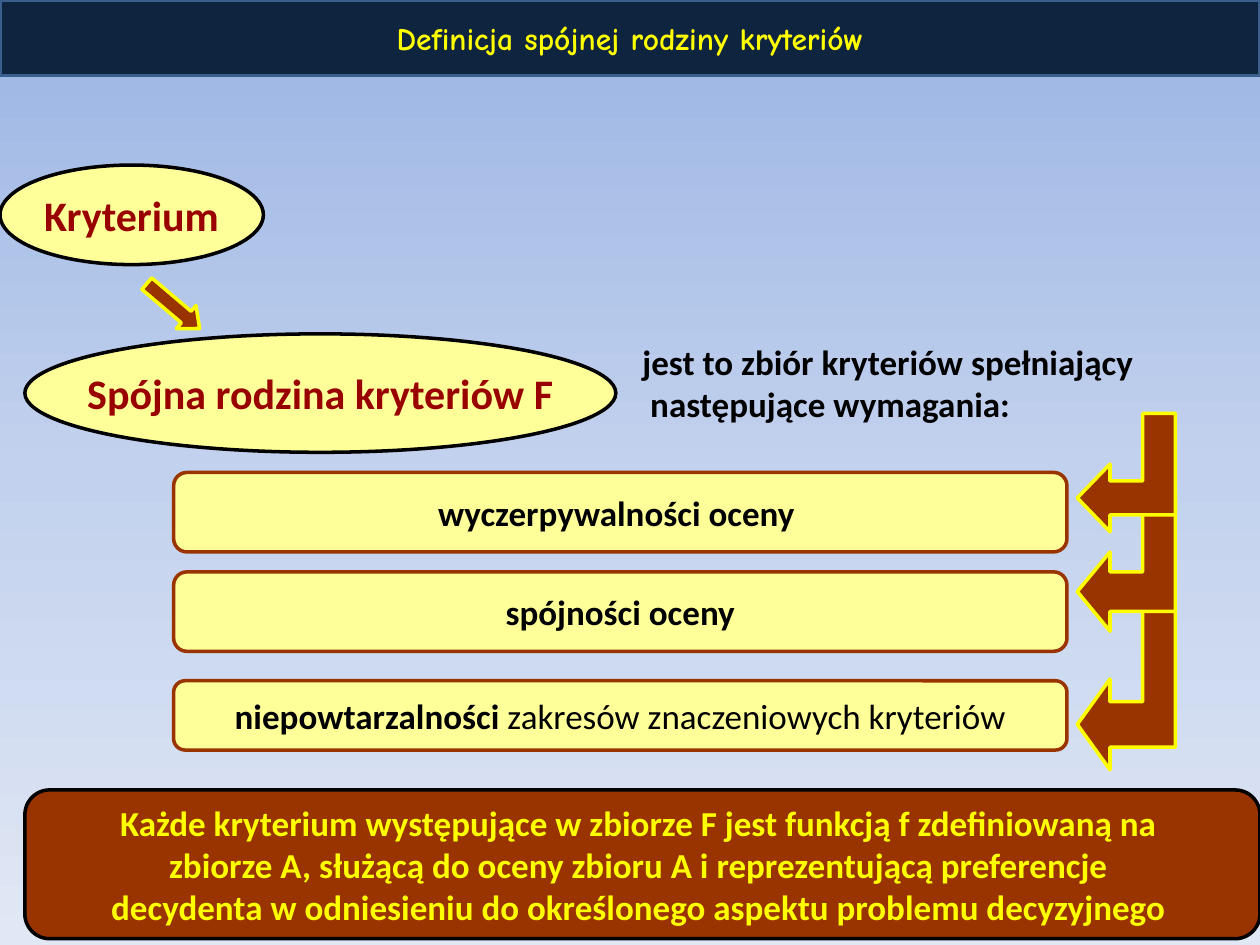
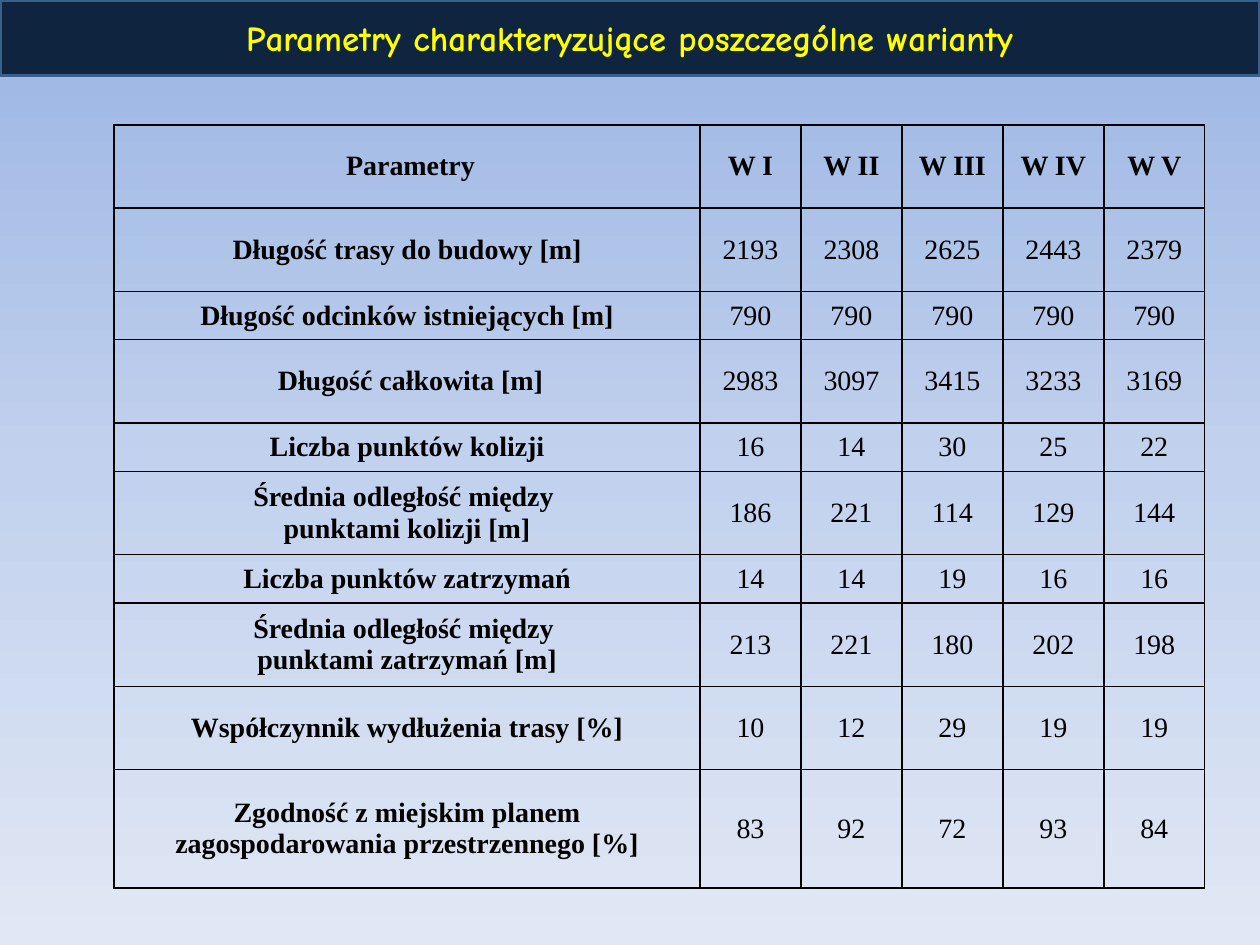
from copy import deepcopy

from lxml import etree
from pptx import Presentation
from pptx.dml.color import RGBColor
from pptx.enum.shapes import MSO_SHAPE
from pptx.enum.text import MSO_ANCHOR, PP_ALIGN
from pptx.oxml.ns import qn
from pptx.util import Pt

RECT, ROUNDED = MSO_SHAPE.RECTANGLE, MSO_SHAPE.ROUNDED_RECTANGLE
ELLIPSE, RIGHT_ARROW = MSO_SHAPE.OVAL, MSO_SHAPE.RIGHT_ARROW
MIDDLE, TOP = MSO_ANCHOR.MIDDLE, MSO_ANCHOR.TOP
CENTER, LEFT = PP_ALIGN.CENTER, PP_ALIGN.LEFT

BLACK, YELLOW, CREAM = "000000", "FFFF00", "FFFF99"
BROWN, DARK_RED = "993300", "990000"
NAVY, STEEL = "0F243E", "3A5F8C"
SKY = ("9AB5E4", "C2D1ED", "E1E8F5")
BODY, TITLE, TABLE = "Calibri", "Comic Neue", "Times New Roman"

TALL, SHORT, LAST = 47.7, 27.5, 67.5
ROW_HEIGHTS = [TALL, TALL, SHORT, TALL, SHORT, TALL, SHORT, TALL, TALL, LAST]
COLUMN_WIDTHS = [334.8] + [57.7] * 5
VARIANTS = [
    (" Parametry", "W I", "W II", "W III", "W IV", "W V"),
    ("Długość trasy do budowy [m]", 2193, 2308, 2625, 2443, 2379),
    ("Długość odcinków istniejących [m]", 790, 790, 790, 790, 790),
    (" Długość całkowita [m]", 2983, 3097, 3415, 3233, 3169),
    ("Liczba punktów kolizji", 16, 14, 30, 25, 22),
    ("Średnia odległość między \npunktami kolizji [m]", 186, 221, 114, 129, 144),
    ("Liczba punktów zatrzymań", 14, 14, 19, 16, 16),
    ("Średnia odległość między \npunktami zatrzymań [m]", 213, 221, 180, 202, 198),
    ("Współczynnik wydłużenia trasy [%]", 10, 12, 29, 19, 19),
    ("Zgodność z miejskim planem zagospodarowania przestrzennego [%]",
     83, 92, 72, 93, 84),
]


def rgb(hex_code):
    return RGBColor.from_string(hex_code)


def points(*lengths):
    return [Pt(length) for length in lengths]


class Deck:
    """Holds the shared style and the slide being filled."""

    def __init__(self):
        self.prs = Presentation()
        self.prs.slide_width, self.prs.slide_height = points(720, 540)
        self.slide = None
        self.paint_background()

    def paint_background(self):
        """Give the master a vertical gradient with three stops."""
        master = self.prs.slide_master
        fill = master.background.fill
        fill.gradient()
        fill.gradient_angle = 270
        stops = master.element.find(".//" + qn("a:gsLst"))
        stops.insert(1, deepcopy(stops[0]))
        for stop, color, position in zip(fill.gradient_stops, SKY, (0, 0.5, 1)):
            stop.color.rgb = rgb(color)
            stop.position = position

    def new_slide(self):
        self.slide = self.prs.slides.add_slide(self.prs.slide_layouts[6])

    def add_lines(self, frame, lines, size, color, font=BODY, align=CENTER):
        """Fill a text frame; each line is a list of (text, bold) runs."""
        for number, line in enumerate(lines):
            paragraph = frame.paragraphs[0] if number == 0 else frame.add_paragraph()
            paragraph.alignment = align
            for text, bold in line:
                run = paragraph.add_run()
                run.text = text
                run.font.name, run.font.size = font, Pt(size)
                run.font.bold = bold
                run.font.color.rgb = rgb(color)

    def style(self, shape, fill, line):
        shape.shadow.inherit = False
        shape.fill.solid()
        shape.fill.fore_color.rgb = rgb(fill)
        shape.line.color.rgb = rgb(line)
        shape.line.width = Pt(2)

    def shape(self, kind, box, fill, line):
        shape = self.slide.shapes.add_shape(kind, *points(*box))
        self.style(shape, fill, line)
        return shape

    def label(self, kind, box, lines, fill=CREAM, line=BLACK, size=20,
              color=BLACK, font=BODY, wrap=False):
        frame = self.shape(kind, box, fill, line).text_frame
        frame.word_wrap = wrap
        frame.vertical_anchor = MIDDLE
        self.add_lines(frame, lines, size, color, font)

    def title(self, text, size):
        self.label(RECT, (0, 0, 720, 43.2), [[(text, True)]], NAVY, STEEL,
                   size, YELLOW, TITLE, wrap=True)

    def text(self, box, lines, size):
        frame = self.slide.shapes.add_textbox(*points(*box)).text_frame
        frame.word_wrap = True
        frame.vertical_anchor = TOP
        self.add_lines(frame, lines, size, BLACK, align=LEFT)

    def bent_arrow(self, top, height):
        """Draw an arrow going down and then left, laid out in sevenths."""
        tip, head, inner, outer = (615.6 + 18.7 * step for step in range(4))
        head_top, neck, middle, base = (top + height * n / 7 for n in (3, 4, 5, 6))
        outline = [(tip, middle), (head, head_top), (head, neck), (inner, neck),
                   (inner, top), (outer, top), (outer, base), (head, base),
                   (head, top + height)]
        corners = [points(*corner) for corner in outline]
        builder = self.slide.shapes.build_freeform(*corners[0])
        builder.add_line_segments(corners[1:], close=True)
        self.style(builder.convert_to_shape(), BROWN, YELLOW)

    def table(self, left, top, widths, heights, rows):
        frame = self.slide.shapes.add_table(
            len(rows), len(widths), *points(left, top, sum(widths), sum(heights)))
        table = frame.table
        table.first_row = table.horz_banding = False
        for column, width in zip(table.columns, widths):
            column.width = Pt(width)
        for row, height in zip(table.rows, heights):
            row.height = Pt(height)
        for r, values in enumerate(rows):
            for c, value in enumerate(values):
                cell = table.cell(r, c)
                cell.fill.background()
                cell.vertical_anchor = MIDDLE
                lines = [[(part, r == 0 or c == 0)] for part in str(value).split("\n")]
                self.add_lines(cell.text_frame, lines, 16, BLACK, TABLE)
                self.border(cell)

    def border(self, cell):
        properties = cell._tc.get_or_add_tcPr()
        for place, side in enumerate(("lnL", "lnR", "lnT", "lnB")):
            edge = etree.Element(qn("a:" + side), w=str(Pt(1)))
            solid = etree.SubElement(edge, qn("a:solidFill"))
            etree.SubElement(solid, qn("a:srgbClr"), val=BLACK)
            properties.insert(place, edge)


def definition_slide(deck):
    deck.new_slide()
    deck.bent_arrow(349.2, 90.7)
    deck.label(ELLIPSE, (0, 94.3, 150.5, 56.9), [[("Kryterium", True)]],
               size=24, color=DARK_RED)
    deck.text((360, 190.8, 360, 55.4),
              [[("jest to zbiór kryteriów spełniający", True)],
               [(" następujące wymagania:", True)]], 20)
    deck.label(ELLIPSE, (14.2, 190.8, 337.7, 67.7),
               [[("Spójna rodzina kryteriów F", True)]], size=24, color=DARK_RED)
    pointer = deck.shape(RIGHT_ARROW, (79.2, 166.3, 39.6, 17.3), BROWN, YELLOW)
    pointer.adjustments[1] = 0.585
    pointer.rotation = 40.3

    requirements = [
        (270, 45.4, [("wyczerpywalności oceny ", True)]),
        (326.8, 45.4, [("spójności oceny", True)]),
        (389, 39.6, [("niepowtarzalności", True),
                     (" zakresów znaczeniowych kryteriów", False)]),
    ]
    for top, height, line in requirements:
        deck.label(ROUNDED, (99.2, top, 510.5, height), [line], line=BROWN)

    deck.bent_arrow(281.5, 79.2)
    deck.bent_arrow(236.2, 67.7)
    conclusion = (
        "Każde kryterium występujące w zbiorze F jest funkcją f zdefiniowaną na ",
        "zbiorze A, służącą do oceny zbioru A i reprezentującą preferencje ",
        "decydenta w odniesieniu do określonego aspektu problemu decyzyjnego ",
    )
    deck.label(ROUNDED, (14.2, 451.4, 705.8, 85), [[(line, True)] for line in conclusion],
               fill=BROWN, color=YELLOW)
    deck.title("Definicja spójnej rodziny kryteriów", 18)


def parameters_slide(deck):
    deck.new_slide()
    deck.table(65.2, 71.3, COLUMN_WIDTHS, ROW_HEIGHTS, VARIANTS)
    deck.title("Parametry charakteryzujące poszczególne warianty", 20)


def main():
    deck = Deck()
    definition_slide(deck)
    parameters_slide(deck)
    deck.prs.save("out.pptx")


if __name__ == "__main__":
    main()
